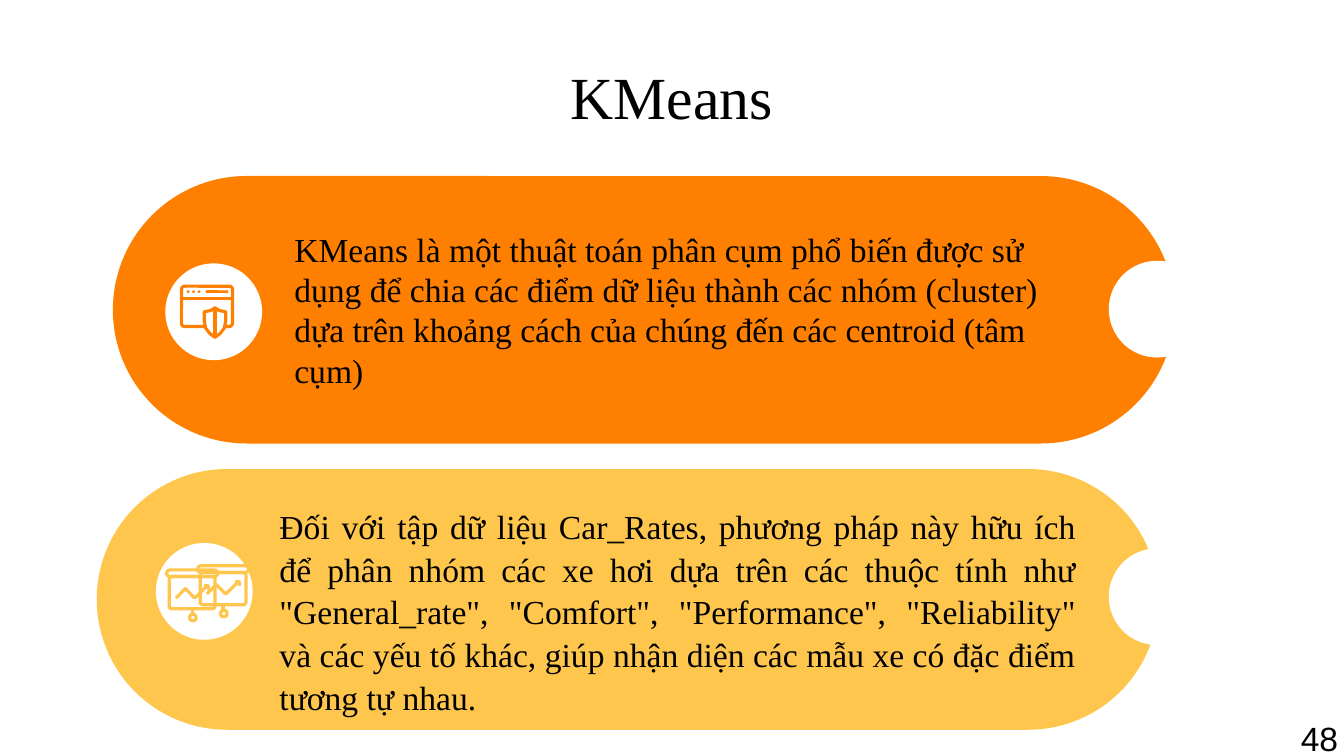
"""Builds the KMeans slide with two pill-shaped panels."""
from lxml import etree
from pptx import Presentation
from pptx.dml.color import RGBColor
from pptx.enum.shapes import MSO_CONNECTOR, MSO_SHAPE
from pptx.enum.text import MSO_ANCHOR, PP_ALIGN
from pptx.oxml.ns import qn
from pptx.util import Inches, Pt

ROUNDED, OVAL = MSO_SHAPE.ROUNDED_RECTANGLE, MSO_SHAPE.OVAL
STRAIGHT = MSO_CONNECTOR.STRAIGHT
MIDDLE, TOP = MSO_ANCHOR.MIDDLE, MSO_ANCHOR.TOP
LEFT, CENTER, JUSTIFY = PP_ALIGN.LEFT, PP_ALIGN.CENTER, PP_ALIGN.JUSTIFY
BLACK = RGBColor(0, 0, 0)
WHITE = RGBColor(255, 255, 255)
ORANGE = RGBColor(0xFF, 0x80, 0x01)
YELLOW = RGBColor(0xFF, 0xC6, 0x4E)
SERIF, SANS = "Times New Roman", "Arial"
SLIDE_WIDTH = 10
SLIDE_HEIGHT = SLIDE_WIDTH * 9 / 16
CIRCLE = 0.72
STROKE = Pt(1.7)

TITLE = "KMeans"
PAGE_NUMBER = "48"
PANELS = [
    {
        "color": YELLOW,
        "pill": (0.72, 3.49, 7.9, 1.94),
        "circles": [(8.25, 4.08), (1.16, 4.04)],
        "text_box": (2.08, 4.2, 5.93, 0.68),
        "align": JUSTIFY, "line_spacing": 1.06, "space_after": 8,
        "text": 'Đối với tập dữ liệu Car_Rates, phương pháp này hữu ích để phân nhóm '
                'các xe hơi dựa trên các thuộc tính như "General_rate", "Comfort", '
                '"Performance", "Reliability" và các yếu tố khác, giúp nhận diện các '
                'mẫu xe có đặc điểm tương tự nhau.',
    },
    {
        "color": ORANGE,
        "pill": (0.84, 1.31, 7.9, 1.99),
        "circles": [(8.25, 1.94), (1.23, 1.96)],
        "text_box": (2.19, 1.96, 5.92, 0.68),
        "align": LEFT, "line_spacing": 1, "space_after": 0,
        "text": "KMeans là một thuật toán phân cụm phổ biến được sử dụng để chia các "
                "điểm dữ liệu thành các nhóm (cluster) dựa trên khoảng cách của chúng "
                "đến các centroid (tâm cụm)",
    },
]
BROWSER = (1.34, 2.12)
BOARDS = [(1.46, 4.2), (1.23, 4.23)]
SHIELD = [(0.26, 0.17), (0.29, 0.19), (0.34, 0.2), (0.34, 0.27), (0.33, 0.32),
          (0.3, 0.36), (0.26, 0.39), (0.22, 0.36), (0.19, 0.32), (0.18, 0.27),
          (0.18, 0.2), (0.23, 0.19)]
TREND = [(0.08, 0.22), (0.15, 0.15), (0.22, 0.22), (0.31, 0.13)]
ARROW_TIP = [(0.29, 0.13), (0.32, 0.13), (0.32, 0.16)]


def lengths(values):
    return [Inches(value) for value in values]


def paint(shape, fill=None, line=None):
    shape.shadow.inherit = False
    if fill is None:
        shape.fill.background()
    else:
        shape.fill.solid()
        shape.fill.fore_color.rgb = fill
    if line is None:
        shape.line.fill.background()
    else:
        shape.line.color.rgb = line
        shape.line.width = STROKE


def add_preset(slide, kind, box, fill=None, line=None, rounding=0.5):
    shape = slide.shapes.add_shape(kind, *lengths(box))
    if kind == ROUNDED:
        shape.adjustments[0] = rounding
    paint(shape, fill, line)


def add_outline(slide, origin, points, color, fill=None, close=False):
    places = [lengths((origin[0] + x, origin[1] + y)) for x, y in points]
    builder = slide.shapes.build_freeform(*places[0])
    builder.add_line_segments(places[1:], close=close)
    paint(builder.convert_to_shape(), fill, color)


def add_line(slide, origin, start, end, color):
    ends = [origin[0] + start[0], origin[1] + start[1], origin[0] + end[0], origin[1] + end[1]]
    line = slide.shapes.add_connector(STRAIGHT, *lengths(ends))
    line.line.color.rgb = color
    line.line.width = STROKE
    etree.SubElement(line._element.spPr, qn("a:effectLst"))


def add_browser_icon(slide, origin):
    x, y = origin
    add_preset(slide, ROUNDED, (x + 0.01, y + 0.01, 0.38, 0.3), line=ORANGE, rounding=0.08)
    add_line(slide, origin, (0.01, 0.1), (0.39, 0.1), ORANGE)
    for dot in range(3):
        add_preset(slide, OVAL, (x + 0.05 + dot * 0.04, y + 0.04, 0.02, 0.02), ORANGE)
    add_preset(slide, ROUNDED, (x + 0.19, y + 0.04, 0.17, 0.02), ORANGE)
    add_outline(slide, origin, SHIELD, ORANGE, WHITE, close=True)
    add_line(slide, origin, (0.26, 0.18), (0.26, 0.38), ORANGE)


def add_board_icon(slide, origin):
    x, y = origin
    add_preset(slide, ROUNDED, (x + 0.01, y + 0.01, 0.38, 0.05), line=YELLOW)
    add_preset(slide, ROUNDED, (x + 0.03, y + 0.06, 0.34, 0.24), line=YELLOW, rounding=0.08)
    add_line(slide, origin, (0.2, 0.3), (0.2, 0.34), YELLOW)
    add_preset(slide, OVAL, (x + 0.18, y + 0.34, 0.05, 0.05), line=YELLOW)
    for points in (TREND, ARROW_TIP):
        add_outline(slide, origin, points, YELLOW)


def write(shape, text, size, font, align, anchor=MIDDLE, insets=(0.1, 0.1), wrap=True):
    frame = shape.text_frame
    frame.word_wrap = wrap
    frame.vertical_anchor = anchor
    frame.margin_left = frame.margin_right = Inches(insets[0])
    frame.margin_top = frame.margin_bottom = Inches(insets[1])
    paragraph = frame.paragraphs[0]
    paragraph.alignment = align
    run = paragraph.add_run()
    run.text = text
    run.font.size = Pt(size)
    run.font.name = font
    run.font.color.rgb = BLACK
    return paragraph


def add_panel(slide, panel):
    add_preset(slide, ROUNDED, panel["pill"], panel["color"])
    for left, top in panel["circles"]:
        add_preset(slide, OVAL, (left, top, CIRCLE, CIRCLE), WHITE)
    box = slide.shapes.add_textbox(*lengths(panel["text_box"]))
    paragraph = write(box, panel["text"], 18, SERIF, panel["align"], insets=(0, 0.1))
    paragraph.line_spacing = panel["line_spacing"]
    paragraph.space_after = Pt(panel["space_after"])


def main():
    presentation = Presentation()
    presentation.slide_width = Inches(SLIDE_WIDTH)
    presentation.slide_height = Inches(SLIDE_HEIGHT)
    slide = presentation.slides.add_slide(presentation.slide_layouts[5])
    title = slide.shapes.title
    title.left, title.top, title.width, title.height = lengths((0.5, 0.45, 9, 0.53))
    write(title, TITLE, 32, SERIF, CENTER)
    number = slide.shapes.add_textbox(*lengths((9.58, 5.29, 0.48, 0.4)))
    write(number, PAGE_NUMBER, 18, SANS, LEFT, TOP, (0.1, 0.05), wrap=False)
    for panel in PANELS:
        add_panel(slide, panel)
    add_browser_icon(slide, BROWSER)
    for origin in BOARDS:
        add_board_icon(slide, origin)
    presentation.save("out.pptx")


if __name__ == "__main__":
    main()
